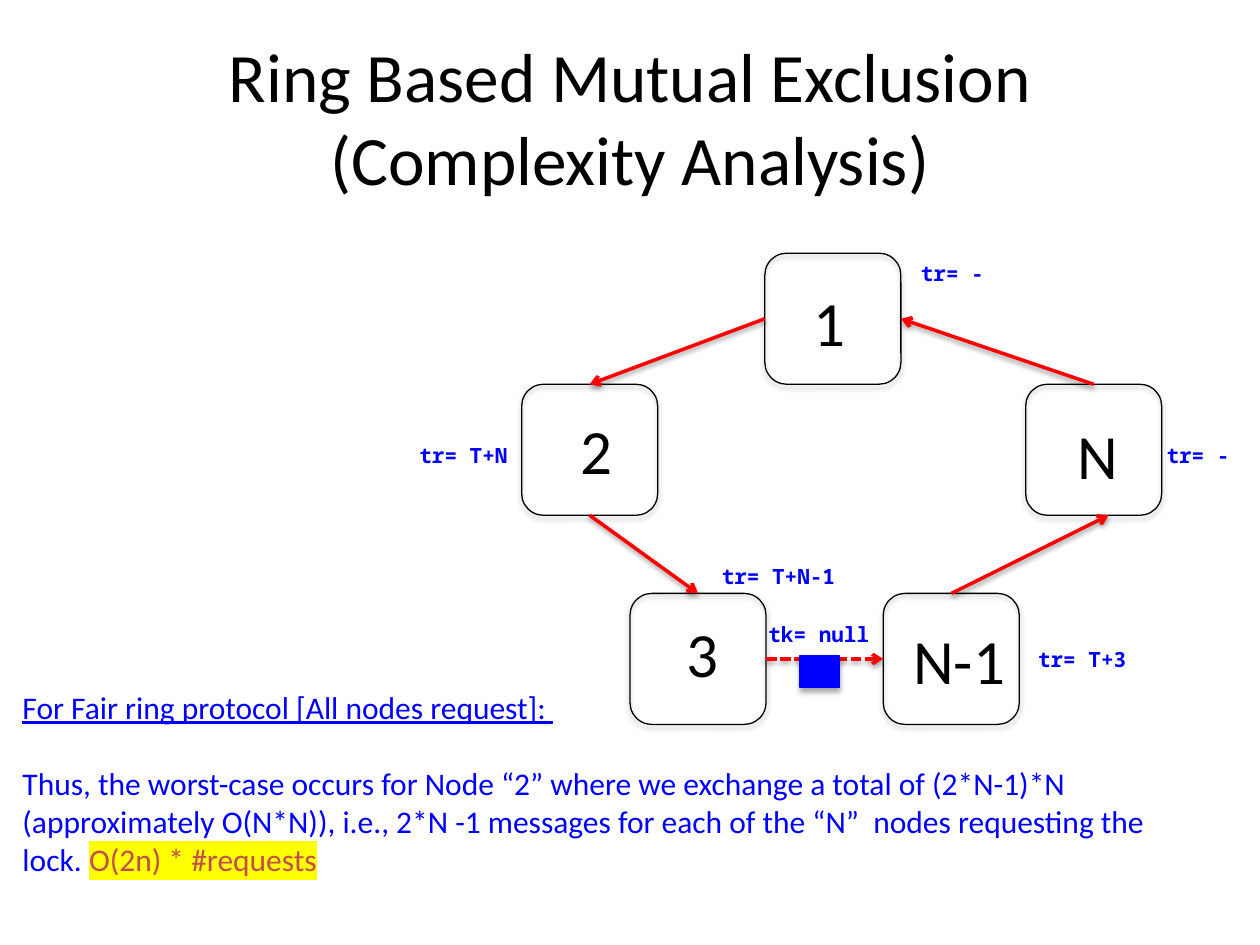
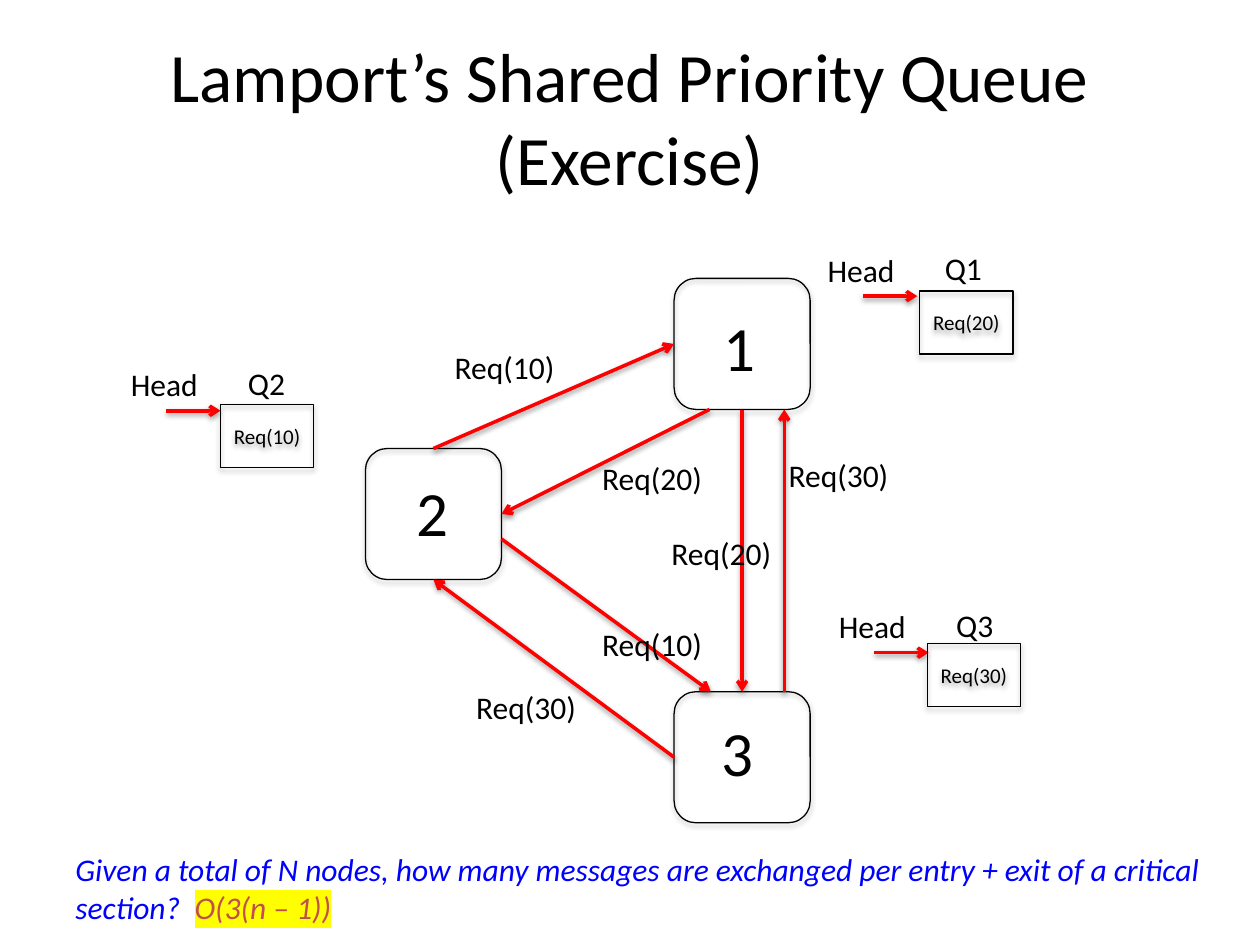
from lxml import etree
from pptx import Presentation
from pptx.dml.color import RGBColor
from pptx.enum.dml import MSO_LINE
from pptx.enum.shapes import MSO_CONNECTOR, MSO_SHAPE
from pptx.enum.text import MSO_ANCHOR, MSO_AUTO_SIZE, PP_ALIGN
from pptx.oxml import parse_xml
from pptx.oxml.ns import nsdecls, qn
from pptx.util import Inches, Pt

BLACK = RGBColor(0x00, 0x00, 0x00)
BLUE = RGBColor(0x00, 0x00, 0xFF)
RED = RGBColor(0xFF, 0x00, 0x00)
BRICK = RGBColor(0xC0, 0x50, 0x4D)
YELLOW = RGBColor(0xFF, 0xFF, 0x00)

BODY_FONT = "Calibri"
CODE_FONT = "Noto Sans Mono"
NODE_WIDTH, NODE_HEIGHT = 1.08, 1.04
QUEUE_WIDTH, QUEUE_HEIGHT = 0.74, 0.5

LEFT, CENTER = PP_ALIGN.LEFT, PP_ALIGN.CENTER
MIDDLE = MSO_ANCHOR.MIDDLE
FIT_TEXT = MSO_AUTO_SIZE.SHAPE_TO_FIT_TEXT
RECTANGLE, ROUNDED = MSO_SHAPE.RECTANGLE, MSO_SHAPE.ROUNDED_RECTANGLE
STRAIGHT = MSO_CONNECTOR.STRAIGHT
SHORT_DASH = MSO_LINE.SQUARE_DOT

# Fractions of a node's width and height
LEFT_SIDE, RIGHT_SIDE = (0, 0.5), (1, 0.5)
TOP_SIDE, BOTTOM_SIDE = (0.5, 0), (0.5, 1)


# Shared parts

def add_shadow(shape, opacity, distance):
    shape.element.spPr.append(parse_xml(
        f'<a:effectLst {nsdecls("a")}><a:outerShdw blurRad="{Pt(3.1)}" '
        f'dist="{Pt(distance)}" dir="5400000" rotWithShape="0">'
        f'<a:srgbClr val="{BLACK}"><a:alpha val="{opacity * 1000}"/></a:srgbClr>'
        '</a:outerShdw></a:effectLst>'))


def add_run(paragraph, text, size, color=BLACK, font=BODY_FONT, bold=False,
            italic=False, underline=False, highlight=None):
    run = paragraph.add_run()
    run.text = text
    run.font.size = Pt(size)
    run.font.color.rgb = color
    run.font.name = font
    run.font.bold = bold
    run.font.italic = italic
    run.font.underline = underline
    if highlight:
        marker = etree.Element(qn("a:highlight"))
        etree.SubElement(marker, qn("a:srgbClr"), val=str(highlight))
        run.font.fill  # the fill element precedes the highlight
        run.font._element.find(qn("a:solidFill")).addnext(marker)


def add_text_box(slide, left, top, width, height, wrap=False):
    box = slide.shapes.add_textbox(
        Inches(left), Inches(top), Inches(width), Inches(height))
    box.text_frame.word_wrap = wrap
    box.text_frame.auto_size = FIT_TEXT
    return box.text_frame


def add_label(slide, left, top, width, text, size=18, align=LEFT):
    frame = add_text_box(slide, left, top, width, 0.71 if size > 18 else 0.4)
    frame.paragraphs[0].alignment = align
    add_run(frame.paragraphs[0], text, size)


def add_outline(slide, kind, left, top, width, height, fill=None):
    shape = slide.shapes.add_shape(
        kind, Inches(left), Inches(top), Inches(width), Inches(height))
    if fill is None:
        shape.fill.background()
    else:
        shape.fill.solid()
        shape.fill.fore_color.rgb = fill
    shape.line.color.rgb = BLACK if fill is None else fill
    shape.line.width = Pt(0.75)
    add_shadow(shape, 35, 1.8)
    return shape


def add_arrow(slide, start, end, dash=None):
    arrow = slide.shapes.add_connector(
        STRAIGHT, *(Inches(length) for length in (*start, *end)))
    arrow.line.color.rgb = RED
    arrow.line.width = Pt(2)
    if dash:
        arrow.line.dash_style = dash
    line = arrow.element.spPr.find(qn("a:ln"))
    etree.SubElement(line, qn("a:tailEnd"), type="arrow")
    add_shadow(arrow, 38, 1.6)


def add_title(slide, text):
    frame = add_text_box(slide, 0.5, 0.3, 9, 1.25, wrap=True)
    frame.auto_size = MSO_AUTO_SIZE.NONE
    frame.vertical_anchor = MIDDLE
    frame.paragraphs[0].alignment = CENTER
    add_run(frame.paragraphs[0], text, 39.6)


def add_nodes(slide, left, top, nodes):
    """Draw nodes given as name: (x, y, label x, label y, label width)."""
    for x, y, *_ in nodes.values():
        add_outline(slide, ROUNDED, left + x, top + y, NODE_WIDTH, NODE_HEIGHT)
    for name, (x, y, label_x, label_y, width) in nodes.items():
        add_label(slide, left + x + label_x, top + y + label_y, width, name, 36)


def add_links(slide, left, top, nodes, links):
    """Join nodes by (from, its side, to, its side, dash)."""
    def point(name, side):
        x, y = nodes[name][:2]
        return left + x + side[0] * NODE_WIDTH, top + y + side[1] * NODE_HEIGHT

    for source, source_side, target, target_side, *dash in links:
        add_arrow(slide, point(source, source_side),
                  point(target, target_side), *dash)


# Ring slide

def draw_ring(slide, left, top):
    nodes = {
        "1": (3.07, 0.01, 0.29, 0.19, 0.46),
        "2": (1.14, 1.05, 0.37, 0.17, 0.46),
        "3": (2, 2.71, 0.35, 0.12, 0.46),
        "N-1": (4.01, 2.71, 0.14, 0.17, 0.94),
        "N": (5.14, 1.05, 0.31, 0.21, 0.53),
    }
    add_nodes(slide, left, top, nodes)
    add_links(slide, left, top, nodes, [
        ("1", LEFT_SIDE, "2", TOP_SIDE),
        ("2", BOTTOM_SIDE, "3", TOP_SIDE),
        ("N-1", TOP_SIDE, "N", (0.61, 1)),
        ("3", RIGHT_SIDE, "N-1", LEFT_SIDE, SHORT_DASH),
        ("N", TOP_SIDE, "1", RIGHT_SIDE),
    ])
    # Token on its way from 3 to N-1
    add_outline(slide, RECTANGLE, left + 3.35, top + 3.2, 0.31, 0.26, BLUE)
    # Token and request times
    for x, y, text in [
        (3, 2.88, "tk= null"), (5.14, 3.08, "tr= T+3"),
        (6.16, 1.46, "tr= -"), (4.21, 0.02, "tr= -"),
        (0.23, 1.46, "tr= T+N"), (2.63, 2.42, "tr= T+N-1"),
    ]:
        frame = add_text_box(slide, left + x, top + y,
                             0.21 + 0.1 * len(text), 0.3)
        add_run(frame.paragraphs[0], text, 12, BLUE, CODE_FONT, bold=True)


def draw_ring_analysis(slide, left, top):
    frame = add_text_box(slide, left, top, 9.31, 1.62, wrap=True)
    add_run(frame.paragraphs[0], "For Fair ring protocol [All nodes request]: ",
            18, BLUE, underline=True)
    result = frame.add_paragraph()
    result.space_before = Pt(22)
    add_run(result, "Thus, the worst-case occurs for Node “2” where we exchange "
            "a total of (2*N-1)*N (approximately O(N*N)), i.e., 2*N -1 messages "
            "for each of the “N”  nodes requesting the lock. ", 18, BLUE)
    add_run(result, "O(2n) * #requests", 18, BRICK, highlight=YELLOW)


def build_ring_slide(slide):
    add_title(slide, "Ring Based Mutual Exclusion (Complexity Analysis)")
    draw_ring(slide, 3, 2)
    draw_ring_analysis(slide, 0.08, 5.41)


# Priority queue slide

def draw_requests(slide, left, top):
    nodes = {
        "1": (2.45, 0, 0.29, 0.19, 0.46),
        "2": (0, 1.35, 0.31, 0.15, 0.46),
        "3": (2.45, 3.28, 0.28, 0.12, 0.46),
    }
    add_nodes(slide, left, top, nodes)
    add_links(slide, left, top, nodes, [
        ("3", LEFT_SIDE, "2", BOTTOM_SIDE),
        ("3", (0.81, 0), "1", (0.81, 1)),
        ("2", TOP_SIDE, "1", LEFT_SIDE),
        ("2", (1, 0.69), "3", (0.27, 0)),
        ("1", (0.26, 1), "2", RIGHT_SIDE),
        ("1", BOTTOM_SIDE, "3", TOP_SIDE),
    ])
    for x, y, time in [
        (3.25, 1.36, 30), (0.77, 3.2, 30), (2.32, 1.98, 20),
        (1.77, 1.38, 20), (0.6, 0.5, 10), (1.77, 2.7, 10),
    ]:
        add_label(slide, left + x, top + y, 1.01, f"Req({time})", align=CENTER)


def draw_queue(slide, left, top, name, request, box_x, box_y):
    add_label(slide, left, top, 0.74, "Head")
    add_label(slide, left + 0.93, top - 0.01, 0.5, name)
    add_arrow(slide, (left + 0.38, top + 0.41), (left + 0.81, top + 0.41))
    box = add_outline(slide, RECTANGLE, left + box_x, top + box_y,
                      QUEUE_WIDTH, QUEUE_HEIGHT)
    frame = box.text_frame
    frame.word_wrap = False
    frame.vertical_anchor = MIDDLE
    frame.paragraphs[0].alignment = CENTER
    add_run(frame.paragraphs[0], request, 12)


def draw_question(slide, left, top):
    frame = add_text_box(slide, left, top, 9.31, 0.71)
    add_run(frame.paragraphs[0], "Given a total of N nodes, how many messages are "
            "exchanged per entry + exit of a critical", 18, BLUE, italic=True)
    ending = frame.add_paragraph()
    add_run(ending, "section?  ", 18, BLUE, italic=True)
    add_run(ending, "O(3(n – 1))", 18, BRICK, italic=True, highlight=YELLOW)


def build_queue_slide(slide):
    add_title(slide, "Lamport’s Shared Priority Queue (Exercise)")
    draw_requests(slide, 2.9, 2.21)
    draw_queue(slide, 6.47, 1.94, "Q1", "Req(20)", 0.83, 0.37)
    draw_queue(slide, 0.94, 2.85, "Q2", "Req(10)", 0.81, 0.36)
    draw_queue(slide, 6.56, 4.77, "Q3", "Req(30)", 0.8, 0.34)
    draw_question(slide, 0.5, 6.7)


def main():
    presentation = Presentation()
    presentation.slide_width = Inches(10)
    presentation.slide_height = Inches(7.5)
    blank = presentation.slide_layouts[6]
    for build in (build_ring_slide, build_queue_slide):
        build(presentation.slides.add_slide(blank))
    presentation.save("out.pptx")


if __name__ == "__main__":
    main()
